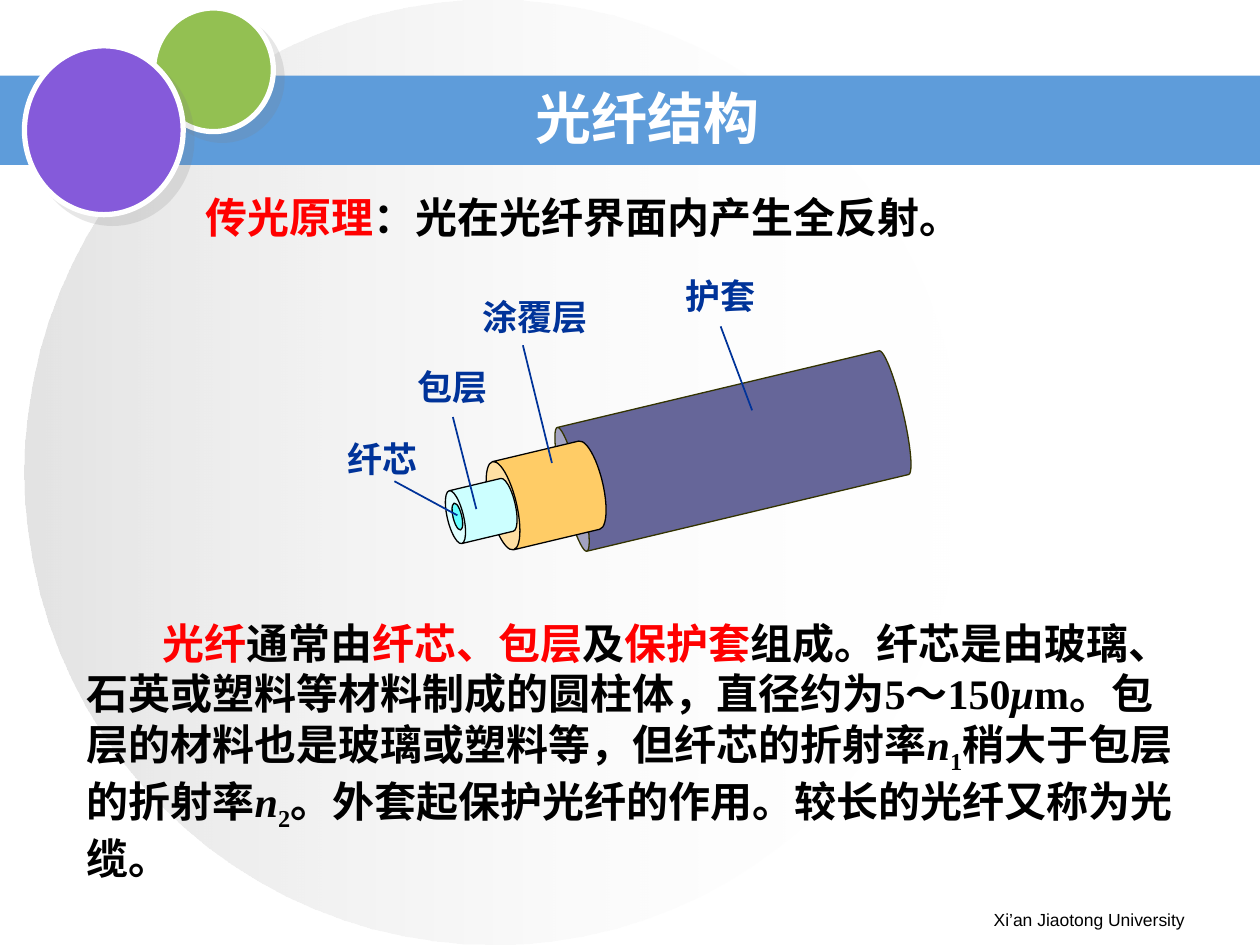
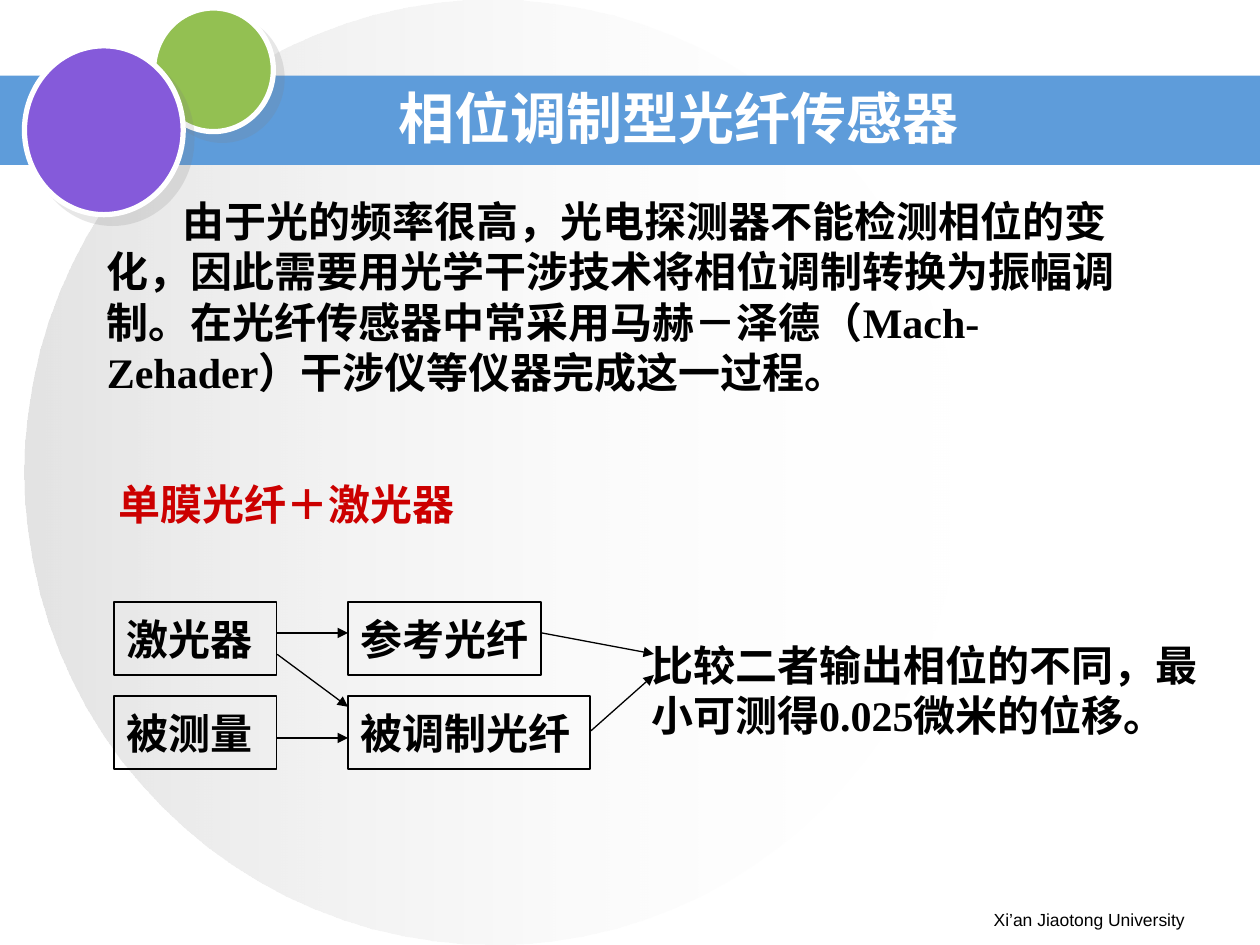
from dataclasses import dataclass

from lxml.etree import SubElement
from pptx import Presentation
from pptx.dml.color import RGBColor
from pptx.enum.lang import MSO_LANGUAGE_ID
from pptx.enum.shapes import MSO_CONNECTOR, MSO_SHAPE
from pptx.enum.text import MSO_ANCHOR, MSO_AUTO_SIZE, PP_ALIGN
from pptx.oxml.ns import qn
from pptx.util import Pt


@dataclass(frozen=True)
class Theme:
    white: str = "FFFFFF"
    black: str = "000000"
    band: str = "5E9CDA"
    green: str = "93C052"
    purple: str = "855ADA"
    grey: str = "C0C0C0"
    shadow: str = "808080"
    red: str = "FF0000"
    dark_red: str = "CC0000"
    navy: str = "003399"
    jacket: str = "666699"
    jacket_edge: str = "333300"
    coating: str = "FFCC66"
    cladding: str = "CCFFFF"
    core: str = "66FFFF"
    heading_font: str = "Arial"
    body_font: str = "Times New Roman"
    accent_font: str = "Roboto"
    title_size: int = 32
    body_size: int = 24
    label_size: int = 20
    footer_size: int = 10
    first_line: float = 43.4


theme = Theme()
body = {"name": theme.body_font, "size": Pt(theme.body_size), "bold": True}
accent = {**body, "name": theme.accent_font}
label = {**body, "size": Pt(theme.label_size)}
heading = {"name": theme.heading_font, "size": Pt(theme.title_size), "bold": True}
footer = {"name": theme.heading_font, "size": Pt(theme.footer_size)}


def write_text(box, runs, style, align=PP_ALIGN.LEFT, indent=0, wrap=True, margin=None):
    frame = box.text_frame
    settings = {"word_wrap": wrap, "auto_size": MSO_AUTO_SIZE.NONE}
    if margin is not None:
        for side in ("left", "top", "right", "bottom"):
            settings[f"margin_{side}"] = Pt(margin)
    for name, value in settings.items():
        setattr(frame, name, value)
    paragraph = frame.paragraphs[0]
    paragraph.alignment = align
    properties = paragraph._p.get_or_add_pPr()
    properties.set("hangingPunct", "0")
    if indent:
        properties.set("indent", str(Pt(indent)))
    for text, color, kind in runs:
        span = paragraph.add_run()
        span.text = text
        values = {**style, "language_id": MSO_LANGUAGE_ID.SIMPLIFIED_CHINESE}
        if kind == "italic":
            values["italic"] = True
        for name, value in values.items():
            setattr(span.font, name, value)
        span.font.color.rgb = RGBColor.from_string(color)
        if kind == "subscript":
            span._r.get_or_add_rPr().set("baseline", "-25000")


def draw_line(shapes, start, end, color, width, arrow=False):
    line = shapes.add_connector(MSO_CONNECTOR.STRAIGHT, *map(Pt, start + end))
    line.line.color.rgb = RGBColor.from_string(color)
    line.line.width = Pt(width)
    properties = line.element.find(qn("p:spPr"))
    if arrow:
        SubElement(properties.find(qn("a:ln")), qn("a:tailEnd"), type="triangle")
    SubElement(properties, qn("a:effectLst"))


deck = Presentation()
deck.slide_width, deck.slide_height = Pt(720), Pt(540)
layout = deck.slide_layouts[5]
structure = deck.slides.add_slide(layout)
sensor = deck.slides.add_slide(layout)

backdrop = [
    (MSO_SHAPE.OVAL, 14, 0, 535.7, 540, None),
    (MSO_SHAPE.RECTANGLE, 0, 43.2, 720, 51.1, theme.band),
    (MSO_SHAPE.OVAL, 87.8, 4.6, 68.4, 70.6, theme.green),
    (MSO_SHAPE.OVAL, 14, 26.2, 90.7, 96.5, theme.purple),
]
for preset, left, top, width, height, color in backdrop:
    shape = structure.shapes.add_shape(preset, Pt(left), Pt(top), Pt(width), Pt(height))
    shape.shadow.inherit = False
    shape.line.fill.background()
    if color is None:
        shape.fill.gradient()
        shape.fill.gradient_angle = 180
        tones = zip(shape.fill.gradient_stops, (theme.white, theme.grey))
        for stop, tone in tones:
            stop.color.rgb = RGBColor.from_string(tone)
        for tone, opacity in zip(shape.element.iter(qn("a:srgbClr")), ("0", "44000")):
            SubElement(tone, qn("a:alpha"), val=opacity)
    else:
        shape.fill.solid()
        shape.fill.fore_color.rgb = RGBColor.from_string(color)
    if color in (theme.green, theme.purple):
        shape.line.color.rgb = RGBColor.from_string(theme.white)
        shape.line.width = Pt(3)
        effects = shape.element.find(".//" + qn("a:effectLst"))
        shadow = SubElement(effects, qn("a:outerShdw"), blurRad="0", dist=str(Pt(7.1)),
                            dir="2700000", algn="ctr", rotWithShape="0")
        tone = SubElement(shadow, qn("a:srgbClr"), val=theme.shadow)
        SubElement(tone, qn("a:alpha"), val="19000")
    layout.shapes.element.append(shape.element)

titles = [(structure, "光纤结构", 64.5), (sensor, "相位调制型光纤传感器", 29)]
for page, text, right_margin in titles:
    title = page.shapes.title
    title.left, title.top, title.width, title.height = map(Pt, (162, 47.7, 473.8, 38.2))
    write_text(title, [(text, theme.white, None)], heading, PP_ALIGN.CENTER)
    title.text_frame.vertical_anchor = MSO_ANCHOR.MIDDLE
    title.text_frame.margin_right = Pt(right_margin)
    box = page.shapes.add_textbox(Pt(516.2), Pt(516.2), Pt(167.8), Pt(19.4))
    write_text(box, [("Xi’an Jiaotong University", theme.black, None)], footer, PP_ALIGN.RIGHT)

principle = [
    ("传光原理", theme.red, None),
    ("：光在光纤界面内产生全反射。", theme.black, None),
]
composition = [
    ("光纤", theme.red, None),
    ("通常由", theme.black, None),
    ("纤芯、包层", theme.red, None),
    ("及", theme.black, None),
    ("保护套", theme.red, None),
    ("组成。纤芯是由玻璃、石英或塑料等材料制成的圆柱体，直径约为5～150", theme.black, None),
    ("μ", theme.black, "italic"),
    ("m。包层的材料也是玻璃或塑料等，但纤芯的折射率", theme.black, None),
    ("n", theme.black, "italic"),
    ("1", theme.black, "subscript"),
    ("稍大于包层的折射率", theme.black, None),
    ("n", theme.black, "italic"),
    ("2", theme.black, "subscript"),
    ("。外套起保护光纤的作用。较长的光纤又称为光缆。", theme.black, None),
]
interference = [(
    "由于光的频率很高，光电探测器不能检测相位的变化，因此需要用光学干涉技术将相位调制转换为振幅调制。"
    "在光纤传感器中常采用马赫－泽德（Mach-Zehader）干涉仪等仪器完成这一过程。",
    theme.black, None,
)]
pairing = [("单膜光纤＋激光器", theme.dark_red, None)]
comparison = [("比较二者输出相位的不同，最小可测得0.025微米的位移。", theme.black, None)]
passages = [
    (structure, 110.2, 105.8, 465.1, 36, principle, body, 0, True),
    (structure, 42.5, 349.2, 645.8, 159.1, composition, body, theme.first_line, True),
    (sensor, 54, 108.2, 596, 122.4, interference, body, theme.first_line, True),
    (sensor, 60.8, 270, 211.7, 36, pairing, accent, 0, False),
    (sensor, 365, 361.9, 334.1, 64.8, comparison, body, 0, True),
]
for page, left, top, width, height, runs, style, indent, wrap in passages:
    box = page.shapes.add_textbox(Pt(left), Pt(top), Pt(width), Pt(height))
    write_text(box, runs, style, indent=indent, wrap=wrap)

fibre = structure.shapes.add_group_shape().shapes
layers = [
    (MSO_SHAPE.CAN, 382.5, 158, 72.7, 199.4, 256.6, 0.142, theme.jacket, theme.jacket_edge),
    (MSO_SHAPE.CAN, 286.2, 250, 51.8, 66.2, 256.6, 0.3, theme.coating, theme.black),
    (MSO_SHAPE.CAN, 259.5, 272.2, 31, 39.6, 256.6, 0.3, theme.cladding, theme.black),
    (MSO_SHAPE.OVAL, 258.9, 287.3, 5, 15.8, 346.6, None, theme.core, theme.black),
]
for preset, left, top, width, height, angle, depth, color, edge in layers:
    layer = fibre.add_shape(preset, Pt(left), Pt(top), Pt(width), Pt(height))
    layer.shadow.inherit = False
    layer.rotation = angle
    if depth is not None:
        layer.adjustments[0] = depth
    layer.fill.solid()
    layer.fill.fore_color.rgb = RGBColor.from_string(color)
    layer.line.color.rgb = RGBColor.from_string(edge)
    layer.line.width = Pt(0.75)

callouts = [
    ("纤芯", 195.4, 250.2, 46.8, (261.4, 294.5), (225.4, 275)),
    ("包层", 235.4, 208.8, 46.8, (272.2, 290.9), (258.8, 238.3)),
    ("涂覆层", 267.8, 168.9, 76.3, (315.4, 264.6), (298.8, 197.3)),
    ("护套", 388.1, 157, 46.8, (429.8, 234.5), (411.8, 186.5)),
]
for text, left, top, width, target, origin in callouts:
    box = fibre.add_textbox(Pt(left), Pt(top), Pt(width), Pt(31))
    write_text(box, [(text, theme.navy, None)], label, PP_ALIGN.CENTER, margin=0)
    draw_line(fibre, target, origin, theme.navy, 1)

flow = sensor.shapes.add_group_shape().shapes
columns, rows = (65.2, 198.9), (343.8, 397.8)
stages = [
    ("激光器", 0, 0, 92.9),
    ("参考光纤", 1, 0, 110.2),
    ("被测量", 0, 1, 92.9),
    ("被调制光纤", 1, 1, 138.2),
]
for text, column, row, width in stages:
    stage = flow.add_shape(MSO_SHAPE.RECTANGLE, Pt(columns[column]), Pt(rows[row]), Pt(width), Pt(41.8))
    stage.shadow.inherit = False
    stage.fill.background()
    stage.line.color.rgb = RGBColor.from_string(theme.black)
    stage.line.width = Pt(1)
    write_text(stage, [(text, theme.black, None)], body, wrap=False)
    stage.text_frame.vertical_anchor = MSO_ANCHOR.MIDDLE

arrows = [
    ((158.4, 421.7), (198.9, 421.7)),
    ((158.4, 361.7), (198.9, 361.7)),
    ((158.4, 373.9), (198.9, 403.9)),
    ((309.6, 361.7), (373.7, 373.7)),
    ((337.7, 417.6), (373.7, 385.7)),
]
for start, end in arrows:
    draw_line(flow, start, end, theme.black, 0.75, arrow=True)

deck.save("out.pptx")
